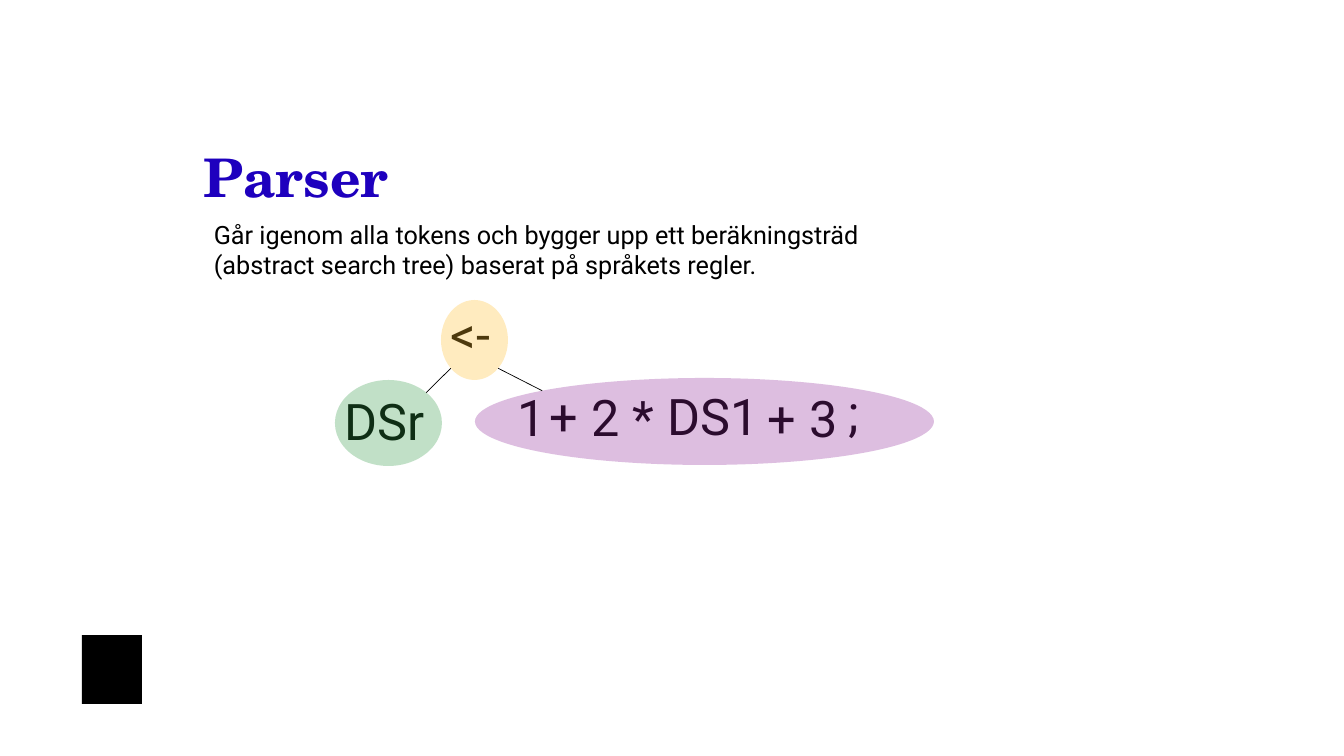
import dataclasses
import math

import lxml.etree
import pptx
import pptx.dml.color
import pptx.enum.shapes
import pptx.enum.text
import pptx.oxml.ns
import pptx.util

PX = 12192000 / 1344
DIAGONAL = math.sqrt(0.5)


@dataclasses.dataclass(frozen=True)
class Theme:
    """Colours, fonts and type sizes of the slide."""

    ink: str = "000000"
    heading: str = "1E00BE"
    operator: str = "FFBE2D"
    target: str = "329B46"
    expression: str = "91289B"
    node_opacity: int = 30
    heading_font: str = "TeX Gyre Schola"
    body_font: str = "Roboto"
    heading_size: int = 38
    heading_leading: int = 42
    body_size: int = 18
    token_size: int = 36
    branch_width: float = 0.5


THEME = Theme()


def px(length):
    """Turn pixels into EMU."""
    return pptx.util.Emu(round(length * PX))


def rgb(colour):
    """Turn a hex string into a colour."""
    return pptx.dml.color.RGBColor.from_string(colour)


def style(paragraph, font, size, colour, bold=False):
    """Set the font of a whole paragraph."""
    paragraph.font.name = font
    paragraph.font.size = pptx.util.Pt(size)
    paragraph.font.color.rgb = rgb(colour)
    paragraph.font.bold = bold


def add_text(slide, box, text, size, wrap):
    """Add a text box in the body font."""
    frame = slide.shapes.add_textbox(*map(px, box)).text_frame
    frame.word_wrap = wrap
    frame.text = text
    style(frame.paragraphs[0], THEME.body_font, size, THEME.ink)


def add_solid(slide, kind, box, colour):
    """Add a filled shape without outline or shadow."""
    solid = slide.shapes.add_shape(kind, *map(px, box))
    solid.shadow.inherit = False
    solid.fill.solid()
    solid.fill.fore_color.rgb = rgb(colour)
    solid.line.fill.background()
    return solid


def add_node(slide, box, colour):
    """Add a translucent ellipse of the tree."""
    node = add_solid(slide, pptx.enum.shapes.MSO_SHAPE.OVAL, box, colour)
    tint = node._element.spPr.find(".//" + pptx.oxml.ns.qn("a:srgbClr"))
    alpha = lxml.etree.SubElement(tint, pptx.oxml.ns.qn("a:alpha"))
    alpha.set("val", str(THEME.node_opacity * 1000))


def rim(box, across, down):
    """Return the point on an ellipse's rim in a diagonal direction."""
    left, top, width, height = box
    return (left + width / 2 * (1 + across * DIAGONAL),
            top + height / 2 * (1 + down * DIAGONAL))


def add_branch(slide, start, end):
    """Add a thin line between two points."""
    branch = slide.shapes.add_connector(
        pptx.enum.shapes.MSO_CONNECTOR.STRAIGHT, *map(px, start + end))
    branch.line.color.rgb = rgb(THEME.ink)
    branch.line.width = pptx.util.Pt(THEME.branch_width)
    lxml.etree.SubElement(branch._element.spPr, pptx.oxml.ns.qn("a:effectLst"))


def add_heading(slide, box, heading, explanation):
    """Place the title with the explanation below it."""
    left, top, width, height = box
    title = slide.shapes.title
    title.left, title.top, title.width, title.height = map(px, box)
    frame = title.text_frame
    frame.margin_left = frame.margin_right = 0
    frame.margin_top = frame.margin_bottom = 0
    frame.vertical_anchor = pptx.enum.text.MSO_ANCHOR.MIDDLE
    frame.text = heading
    line = frame.paragraphs[0]
    line.alignment = pptx.enum.text.PP_ALIGN.LEFT
    line.line_spacing = pptx.util.Pt(THEME.heading_leading)
    style(line, THEME.heading_font, THEME.heading_size, THEME.heading, bold=True)
    add_text(slide, (left, top + height + 1, 711, 72), explanation,
             THEME.body_size, True)


def add_tree(slide, box):
    """Place the assignment tree: tokens, nodes and branches."""
    left, top, _, _ = box
    tokens = [
        ("DSr", 0, 87, 126), ("<-", 106, 0, 60),
        ("1", 173, 83, 49), ("+", 205, 82, 49), ("2", 247, 83, 49),
        ("*", 288, 84, 42), ("DS1", 323, 82, 114), ("+", 423, 84, 49),
        ("3", 465, 84, 49), (";", 504, 78, 33),
    ]
    for token, across, down, width in tokens:
        add_text(slide, (left + across, top + down, width, 72), token,
                 THEME.token_size, token == "DSr")

    operator = (left + 106, top + 2, 67, 80)
    target = (left, top + 82, 107, 86)
    expression = (left + 140, top + 80, 459, 87)
    add_node(slide, operator, THEME.operator)
    add_node(slide, target, THEME.target)
    add_node(slide, expression, THEME.expression)
    add_branch(slide, rim(target, 1, -1), rim(operator, -1, 1))
    add_branch(slide, rim(operator, 1, 1), rim(expression, -1, -1))


def main():
    """Build and save the slide."""
    deck = pptx.Presentation()
    deck.slide_width, deck.slide_height = px(1344), px(756)
    slide = deck.slides.add_slide(deck.slide_layouts.get_by_name("Title Only"))
    add_solid(slide, pptx.enum.shapes.MSO_SHAPE.RECTANGLE, (82, 635, 60, 69),
              THEME.ink)
    add_heading(slide, (204, 145, 532, 68), "Parser",
                "Går igenom alla tokens och bygger upp ett beräkningsträd "
                "(abstract search tree) baserat på språkets regler.")
    add_tree(slide, (335, 298, 599, 168))
    deck.save("out.pptx")


if __name__ == "__main__":
    main()
